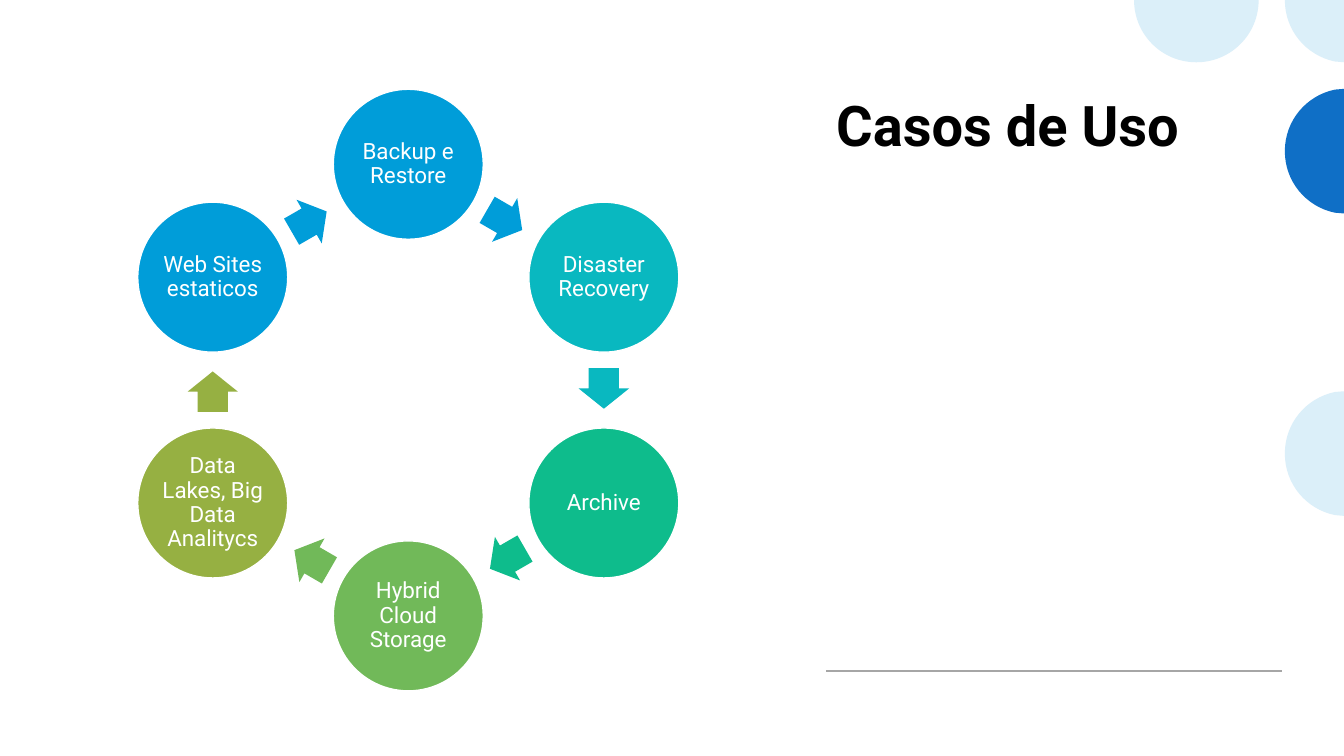
"""Build the slide that shows use cases as a ring of six circles."""
import math

import pptx
import pptx.dml.color
import pptx.enum.shapes
import pptx.enum.text
import pptx.oxml
import pptx.oxml.ns
import pptx.util

Cm, Pt = pptx.util.Cm, pptx.util.Pt
SHAPE = pptx.enum.shapes.MSO_SHAPE
ALIGN = pptx.enum.text.PP_ALIGN
ANCHOR = pptx.enum.text.MSO_ANCHOR

WIDTH, HEIGHT = 33.87, 19.05
TITLE = "Casos de Uso"
TITLE_BOX = (20.82, 2.15, 11.48, 9.42)
RULE = (20.82, 16.91, 32.31, 16.91)
CASES = [
    ("Backup e Restore", "009DD9"),
    ("Disaster Recovery", "09B8C0"),
    ("Archive", "0EBC8C"),
    ("Hybrid Cloud Storage", "71B959"),
    ("Data Lakes, Big Data Analitycs", "96B042"),
    ("Web Sites estaticos", "009DD9"),
]
RING_X, RING_Y, RING_RADIUS = 10.29, 9.83, 5.69
CIRCLE = 3.78
ARROW_LENGTH, ARROW_HEIGHT, ARROW_SETBACK = 1.02, 1.27, 0.04

HALF = ([(-1.57, 0), (1.57, 0)],
        [(1.57, 0.87), (0.87, 1.57), (0, 1.57),
         (-0.87, 1.57), (-1.57, 0.87), (-1.57, 0)])
LOWER_ARC = [(-0.95, 1.4), (-1.49, 0.77), (-1.49, 0)]
UPPER_ARC = [(-1.49, -0.77), (-0.95, -1.4), (-0.23, -1.55)]
SIDE = ([(0, -1.57), (0, 1.57), (-0.23, 1.55)], LOWER_ARC + UPPER_ARC)
CORNER = ([(-1.49, 0), (0, 0), (0, 1.57), (-0.23, 1.55)], LOWER_ARC)
BUBBLES = [
    (HALF, 30.15, 0, "DBEFF9"),
    (SIDE, WIDTH, 11.43, "DBEFF9"),
    (SIDE, WIDTH, 3.81, "0F6FC6"),
    (CORNER, WIDTH, 0, "DBEFF9"),
]

TITLE_FONT = {"name": "Roboto", "size": Pt(40), "bold": True}
LABEL_FONT = {"name": "Roboto", "size": Pt(16)}
TITLE_FRAME = {"word_wrap": True, "vertical_anchor": ANCHOR.TOP,
               "auto_size": pptx.enum.text.MSO_AUTO_SIZE.NONE}
LABEL_FRAME = {"word_wrap": True, "vertical_anchor": ANCHOR.MIDDLE}
LABEL_FRAME.update({f"margin_{side}": Cm(0.05)
                    for side in ("left", "top", "right", "bottom")})


def assign(target, values):
    """Set attributes from a dict of format values."""
    for name, value in values.items():
        setattr(target, name, value)


def color(code):
    """Turn a hex string into a colour."""
    return pptx.dml.color.RGBColor.from_string(code)


def paint(shape, fill):
    """Give a shape a plain fill without line or shadow."""
    shape.shadow.inherit = False
    shape.fill.solid()
    shape.fill.fore_color.rgb = color(fill)
    shape.line.fill.background()


def write(frame, text, frame_format, para_format, font, ink):
    """Put one formatted paragraph into a text frame."""
    assign(frame, frame_format)
    para = frame.paragraphs[0]
    assign(para, para_format)
    span = para.add_run()
    span.text = text
    assign(span.font, font)
    span.font.color.rgb = color(ink)


def add_centered(page, kind, x, y, width, height, fill):
    """Add a painted preset shape around a centre point."""
    shape = page.shapes.add_shape(
        kind, Cm(x - width / 2), Cm(y - height / 2), Cm(width), Cm(height))
    paint(shape, fill)
    return shape


def add_bubble(page, outline, x, y, fill):
    """Add a cut circle: straight corners first, then Bézier curves."""
    corners, controls = outline
    points = [(Cm(x + across), Cm(y + down)) for across, down in corners + controls]
    builder = page.shapes.build_freeform(*points[0])
    builder.add_line_segments(points[1:], close=True)
    bubble = builder.convert_to_shape()
    paint(bubble, fill)
    lines = bubble.element.xpath(".//a:lnTo")[len(corners) - 1:]
    for start in range(0, len(lines), 3):
        curve = lines[start].makeelement(pptx.oxml.ns.qn("a:cubicBezTo"))
        lines[start].addprevious(curve)
        for line in lines[start:start + 3]:
            curve.append(line[0])
            line.getparent().remove(line)


def add_case(page, index, text, fill):
    """Add one circle of the ring and the arrow to the next."""
    step = 360 / len(CASES)
    angle = math.radians(index * step)
    circle = add_centered(
        page, SHAPE.OVAL, RING_X + RING_RADIUS * math.sin(angle),
        RING_Y - RING_RADIUS * math.cos(angle), CIRCLE, CIRCLE, fill)
    circle.line.color.rgb = color("FFFFFF")
    circle.line.width = Pt(1)
    write(circle.text_frame, text, LABEL_FRAME,
          {"alignment": ALIGN.CENTER, "line_spacing": 0.9}, LABEL_FONT, "FFFFFF")

    turn = (index + 0.5) * step
    angle = math.radians(turn)
    reach = RING_RADIUS * math.cos(math.radians(step / 2))
    arrow = add_centered(
        page, SHAPE.RIGHT_ARROW,
        RING_X + reach * math.sin(angle) - ARROW_SETBACK * math.cos(angle),
        RING_Y - reach * math.cos(angle) - ARROW_SETBACK * math.sin(angle),
        ARROW_LENGTH, ARROW_HEIGHT, fill)
    arrow.adjustments[0] = 0.6
    arrow.adjustments[1] = 0.5
    arrow.rotation = turn


def main():
    """Create and save the deck."""
    deck = pptx.Presentation()
    assign(deck, {"slide_width": Cm(WIDTH), "slide_height": Cm(HEIGHT)})
    page = deck.slides.add_slide(deck.slide_layouts[5])

    title = page.shapes.title
    assign(title, dict(zip(("left", "top", "width", "height"), map(Cm, TITLE_BOX))))
    write(title.text_frame, TITLE, TITLE_FRAME,
          {"alignment": ALIGN.LEFT}, TITLE_FONT, "000000")

    for bubble in BUBBLES:
        add_bubble(page, *bubble)

    rule = page.shapes.add_connector(
        pptx.enum.shapes.MSO_CONNECTOR.STRAIGHT, *map(Cm, RULE))
    rule.line.color.rgb = color("A6A6A6")
    rule.line.width = Pt(1)
    rule.element.spPr.append(pptx.oxml.parse_xml(
        '<a:effectLst xmlns:a="http://schemas.openxmlformats.org/drawingml/2006/main"/>'))

    for index, (text, fill) in enumerate(CASES):
        add_case(page, index, text, fill)

    deck.save("out.pptx")


if __name__ == "__main__":
    main()
